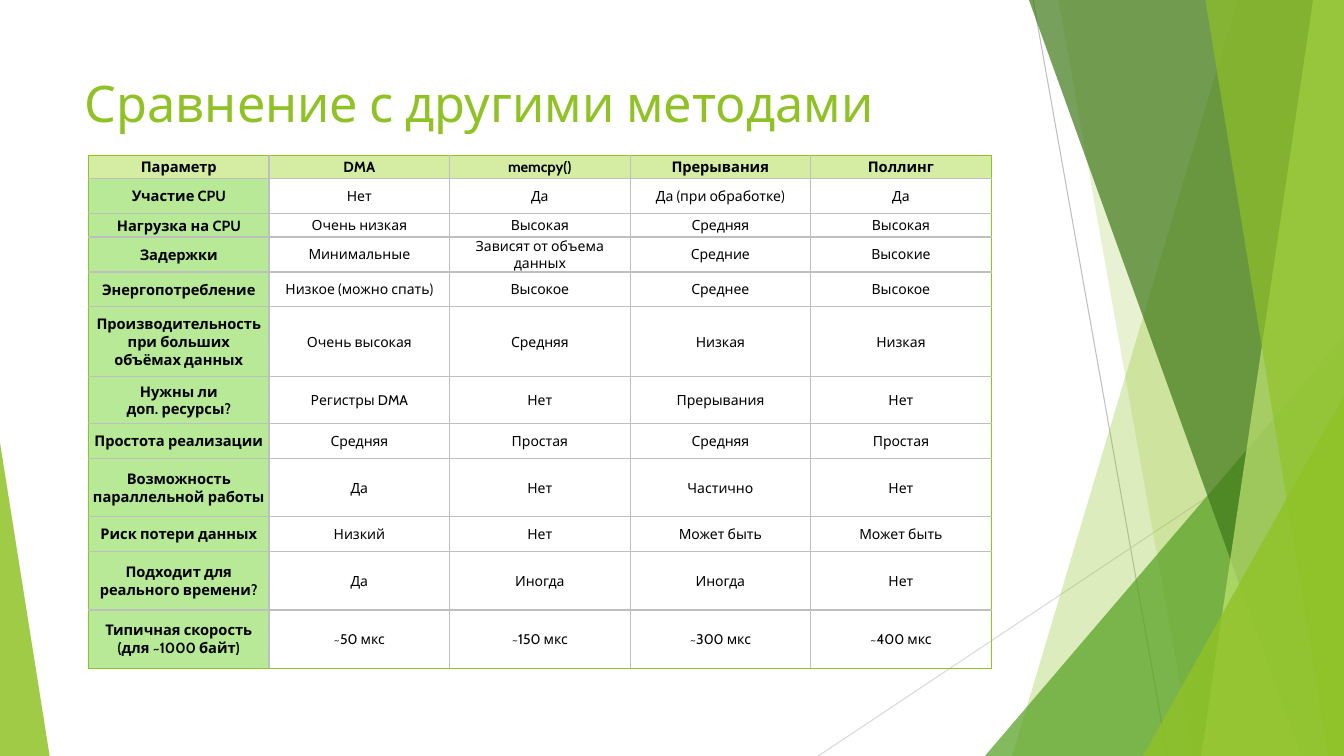
from lxml import etree
from pptx import Presentation
from pptx.dml import color as dml
from pptx.enum import shapes, text
from pptx.oxml import ns
from pptx.util import Pt

FONT = "Cabin"
GREEN, GREY = "90C226", "BFBFBF"
HEADER_FILL, LABEL_FILL = "D5EDA2", "B7E996"

ROW_UNITS = [2, 3, 2, 3, 3, 6, 4, 3, 5, 3, 5, 5]
ROWS = [
    ["Параметр", "DMA", "memcpy()", "Прерывания", "Поллинг"],
    ["Участие CPU", "Нет", "Да", "Да (при обработке)", "Да"],
    ["Нагрузка на CPU", "Очень низкая", "Высокая", "Средняя", "Высокая"],
    ["Задержки", "Минимальные", "Зависят от объема данных", "Средние", "Высокие"],
    ["Энергопотребление", "Низкое (можно спать)", "Высокое", "Среднее", "Высокое"],
    ["Производительность при больших\nобъёмах данных", "Очень высокая", "Средняя",
     "Низкая", "Низкая"],
    ["Нужны ли\nдоп. ресурсы?", "Регистры DMA", "Нет", "Прерывания", "Нет"],
    ["Простота реализации", "Средняя", "Простая", "Средняя", "Простая"],
    ["Возможность параллельной работы", "Да", "Нет", "Частично", "Нет"],
    ["Риск потери данных", "Низкий", "Нет", "Может быть", "Может быть"],
    ["Подходит для\nреального времени?", "Да", "Иногда", "Иногда", "Нет"],
    ["Типичная скорость\n(для ~1000 байт)", "~50 мкс", "~150 мкс", "~300 мкс", "~400 мкс"],
]


def paint(target, color):
    target.solid()
    target.fore_color.rgb = dml.RGBColor.from_string(color)


def add_child(parent, tag, **attributes):
    return etree.SubElement(parent, ns.qn(tag), attributes)


def write(frame, content, size=10, color="000000", bold=False, align=text.PP_ALIGN.LEFT):
    frame.word_wrap = True
    for index, line in enumerate(content.split("\n")):
        paragraph = frame.paragraphs[0] if index == 0 else frame.add_paragraph()
        paragraph.alignment = align
        run = paragraph.add_run()
        run.text = line
        run.font.name, run.font.size, run.font.bold = FONT, Pt(size), bold
        run.font.color.rgb = dml.RGBColor.from_string(color)


def style_facet(shape, color, opacity):
    shape.shadow.inherit = False
    paint(shape.fill, color)
    shape.line.fill.background()
    fill_color = shape.fill._xPr.find(ns.qn("a:solidFill"))[0]
    add_child(fill_color, "a:alpha", val=str(opacity * 1000))


def add_line(slide, start, end, color):
    line = slide.shapes.add_connector(shapes.MSO_CONNECTOR.STRAIGHT,
                                      *(Pt(value) for value in start + end))
    line.line.width = Pt(0.75)
    paint(line.line.fill, color)
    add_child(line._element.spPr, "a:effectLst")


def add_triangle(slide, box, apex, color, opacity):
    triangle = slide.shapes.add_shape(shapes.MSO_SHAPE.ISOSCELES_TRIANGLE,
                                      *(Pt(value) for value in box))
    triangle.adjustments[0] = apex
    style_facet(triangle, color, opacity)


def add_right_facets(slide, box):
    left, top, width, height = box
    right, bottom = left + width, top + height

    def add_blade(top_width, bottom_width, color, opacity):
        builder = slide.shapes.build_freeform(Pt(right - top_width), Pt(top))
        builder.add_line_segments([(Pt(right), Pt(top)), (Pt(right), Pt(bottom)),
                                   (Pt(right - bottom_width), Pt(bottom))])
        style_facet(builder.convert_to_shape(), color, opacity)

    def add_corner(corner_width, corner_height, color, opacity):
        corner = (right - corner_width, bottom - corner_height, corner_width, corner_height)
        add_triangle(slide, corner, 1, color, opacity)

    # Thin lines, then translucent facets from back to front
    add_line(slide, (right - 222, top), (right - 126, bottom), GREY)
    add_line(slide, (right, top + 290), (left, bottom), "D9D9D9")
    add_blade(76, 237, GREEN, 30)
    add_blade(204, 108, GREEN, 20)
    add_corner(256.5, 300, "54A021", 72)
    add_blade(225, 30.5, "3F7819", 70)
    add_blade(22, 102, "C0E474", 70)
    add_blade(99, 11, GREEN, 65)
    add_corner(143.5, 257, GREEN, 80)


def add_left_facet(slide, box):
    add_triangle(slide, box, 0, GREEN, 85)


def add_title(slide, box):
    title = slide.shapes.add_textbox(*(Pt(value) for value in box))
    write(title.text_frame, "Сравнение с другими методами", size=36, color=GREEN)


def set_borders(cell, colors):
    properties = cell._tc.get_or_add_tcPr()
    for index, (side, color) in enumerate(zip("LRTB", colors)):
        border = add_child(properties, f"a:ln{side}", w=str(Pt(1)))
        add_child(add_child(border, "a:solidFill"), "a:srgbClr", val=color)
        properties.insert(index, border)


def add_comparison(slide, box):
    left, top, width, height = box
    row_count, column_count = len(ROWS), len(ROWS[0])
    table = slide.shapes.add_table(row_count, column_count, Pt(left), Pt(top),
                                   Pt(width), Pt(height)).table
    table.first_row = table.horz_banding = False
    for column in table.columns:
        column.width = Pt(width / column_count)
    for row, units in zip(table.rows, ROW_UNITS):
        row.height = Pt(height * units / sum(ROW_UNITS))

    for r, values in enumerate(ROWS):
        for c, value in enumerate(values):
            cell = table.cell(r, c)
            cell.margin_left = cell.margin_right = cell.margin_top = Pt(0.75)
            cell.margin_bottom = 0
            cell.vertical_anchor = text.MSO_ANCHOR.MIDDLE
            heading = r == 0 or c == 0
            write(cell.text_frame, value, size=10.5 if heading else 10, bold=heading,
                  align=text.PP_ALIGN.CENTER)
            if heading:
                paint(cell.fill, HEADER_FILL if r == 0 else LABEL_FILL)
            else:
                cell.fill.background()
            # Green on the outer edge, grey inside
            outer = (c == 0, c == column_count - 1, r == 0, r == row_count - 1)
            set_borders(cell, [GREEN if edge else GREY for edge in outer])


def main():
    presentation = Presentation()
    presentation.slide_width, presentation.slide_height = Pt(960), Pt(540)
    slide = presentation.slides.add_slide(presentation.slide_layouts[6])
    add_right_facets(slide, (584.5, 0, 375.5, 540))
    add_left_facet(slide, (0, 316, 35.5, 224))
    add_title(slide, (53.5, 48, 677, 104))
    add_comparison(slide, (63.25, 111, 644.75, 366.5))
    presentation.save("out.pptx")


if __name__ == "__main__":
    main()
